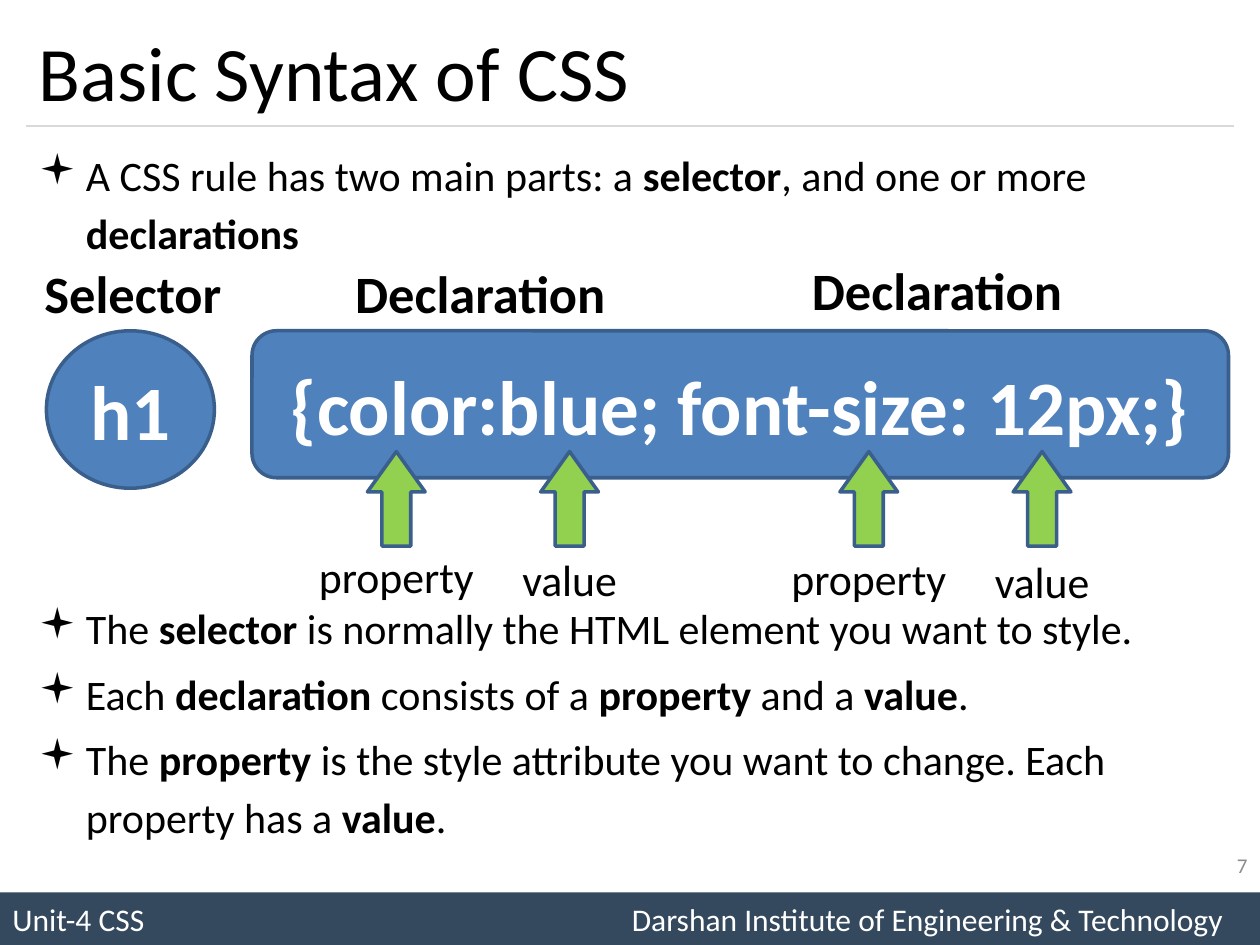
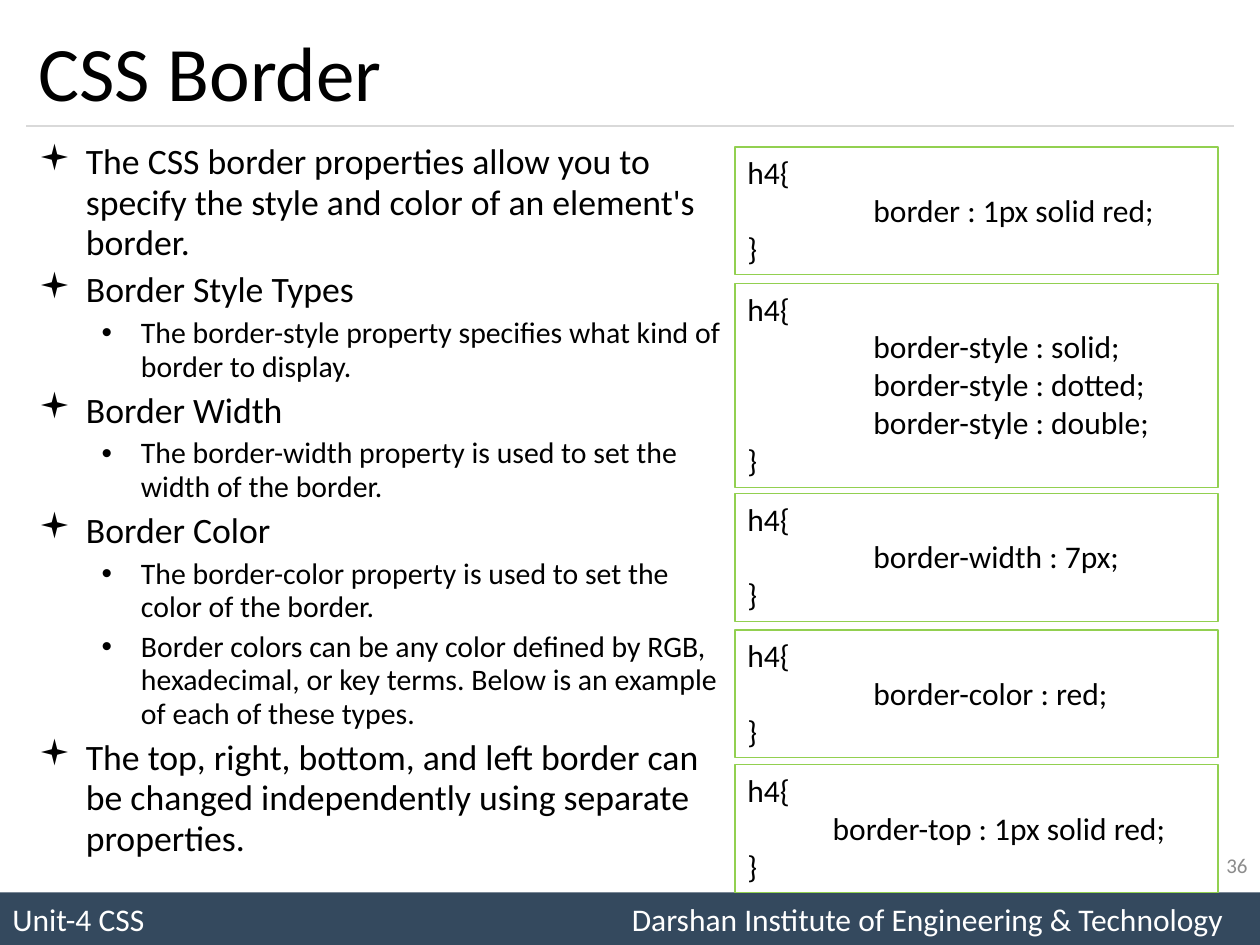
from lxml import etree
from pptx import Presentation
from pptx import util as u
from pptx.dml.color import RGBColor
from pptx.enum import shapes, text
from pptx.oxml.ns import qn

NAVY = RGBColor(0x34, 0x49, 0x5E)
RULE = RGBColor(0xD9, 0xD9, 0xD9)
BLUE = RGBColor(0x4F, 0x81, 0xBD)
EDGE = RGBColor(0x3A, 0x5F, 0x8C)
GREEN = RGBColor(0x92, 0xD0, 0x50)
GREY = RGBColor(0x8C, 0x8C, 0x8C)
BLACK = RGBColor(0, 0, 0)
WHITE = RGBColor(0xFF, 0xFF, 0xFF)

FONT = "Calibri"
LEFT, CENTER, RIGHT = text.PP_ALIGN.LEFT, text.PP_ALIGN.CENTER, text.PP_ALIGN.RIGHT
TOP, MIDDLE = text.MSO_ANCHOR.TOP, text.MSO_ANCHOR.MIDDLE
KIND = shapes.MSO_SHAPE

LEVELS = [
    {"mark": "▪", "face": "Wingdings", "margin": 27, "hang": 27},
    {"mark": "•", "face": "Arial", "margin": 58.5, "hang": 22.5},
]
SYNTAX_STYLE = {"sizes": [24], "gaps": [4.6], "spacing": 1.14}
BORDER_STYLE = {"sizes": [20.4, 17], "gaps": [4.1, 3.3], "spacing": 0.94}

RULE_PARTS = [(0, "A CSS rule has two main parts: a *selector*, and one or more *declarations*")]
RULE_NOTES = [
    (0, "The *selector* is normally the HTML element you want to style."),
    (0, "Each *declaration* consists of a *property* and a *value*."),
    (0, "The *property* is the style attribute you want to change. "
        "Each property has a *value*."),
]
BORDER_NOTES = [
    (0, "The CSS border properties allow you to specify the style and color "
        "of an element's border."),
    (0, "Border Style Types"),
    (1, "The border-style property specifies what kind of border to display."),
    (0, "Border Width"),
    (1, "The border-width property is used to set the width of the border."),
    (0, "Border Color"),
    (1, "The border-color property is used to set the color of the border."),
    (1, "Border colors can be any color defined by RGB, hexadecimal, or key terms. "
        "Below is an example of each of these types."),
    (0, "The top, right, bottom, and left border can be changed independently "
        "using separate properties."),
]
BORDER_CODE = [
    (84, ["\tborder : 1px solid red;"]),
    (162, ["\tborder-style : solid;", "\tborder-style : dotted;", "\tborder-style : double;"]),
    (282, ["\tborder-width : 7px;"]),
    (360, ["\tborder-color : red;"]),
    (437, ["            border-top : 1px solid red;"]),
]


def set_values(target, values):
    for name, value in values.items():
        setattr(target, name, value)


def set_font(font, size, color, bold=False):
    set_values(font, {"name": FONT, "size": u.Pt(size), "bold": bold})
    font.color.rgb = color


def add_tab(para, position):
    tabs = etree.SubElement(para._p.get_or_add_pPr(), qn("a:tabLst"))
    etree.SubElement(tabs, qn("a:tab"), pos=str(u.Pt(position)), algn="l")


def write_lines(shape, lines, size, color, bold=False, align=LEFT, anchor=MIDDLE,
                wrap=True, tab=None):
    frame = shape.text_frame
    set_values(frame, {"word_wrap": wrap, "vertical_anchor": anchor})
    for number, line in enumerate(lines):
        para = frame.add_paragraph() if number else frame.paragraphs[0]
        para.alignment = align
        if "\t" in line:
            add_tab(para, tab)
        span = para.add_run()
        span.text = line
        set_font(span.font, size, color, bold)


def add_text(page, area, line, size, color=BLACK, **style):
    box = page.shapes.add_textbox(*map(u.Pt, area))
    write_lines(box, [line], size, color, **style)


def add_block(page, kind, area, fill=None, edge=None, width=2):
    block = page.shapes.add_shape(kind, *map(u.Pt, area))
    block.shadow.inherit = False
    if fill is None:
        block.fill.background()
    else:
        block.fill.solid()
        block.fill.fore_color.rgb = fill
    if edge is None:
        block.line.fill.background()
    else:
        block.line.color.rgb = edge
        block.line.width = u.Pt(width)
    return block


def add_rule(page):
    rule = page.shapes.add_connector(
        shapes.MSO_CONNECTOR.STRAIGHT, *map(u.Pt, (15, 72, 705, 72)))
    rule.line.color.rgb = RULE
    rule.line.width = u.Pt(0.75)
    etree.SubElement(rule._element.spPr, qn("a:effectLst"))


def add_footer(page):
    band = add_block(page, KIND.RECTANGLE, (0, 510, 720, 30), NAVY)
    footer = "Unit-4 CSS\tDarshan Institute of Engineering & Technology"
    write_lines(band, [footer], 18, WHITE, tab=354)


def add_bullets(page, area, items, style):
    frame = page.shapes.add_textbox(*map(u.Pt, area)).text_frame
    frame.word_wrap = True
    for number, (level, words) in enumerate(items):
        para = frame.add_paragraph() if number else frame.paragraphs[0]
        layout = LEVELS[level]
        props = para._p.get_or_add_pPr()
        props.set("marL", str(u.Pt(layout["margin"])))
        props.set("indent", str(-u.Pt(layout["hang"])))
        etree.SubElement(props, qn("a:buFont"), typeface=layout["face"])
        etree.SubElement(props, qn("a:buChar"), char=layout["mark"])
        set_values(para, {"level": level, "line_spacing": style["spacing"]})
        if number:
            para.space_before = u.Pt(style["gaps"][level])
        for part, piece in enumerate(words.split("*")):
            if piece:
                span = para.add_run()
                span.text = piece
                set_font(span.font, style["sizes"][level], BLACK, part % 2 == 1)


def add_label(page, center, top, line, size, bold=False):
    width = len(line) * size / 2 + 18
    add_text(page, (center - width / 2, top, width, size * 1.47), line, size,
             bold=bold, align=CENTER, anchor=TOP, wrap=False)


def add_pointer(page, center, label_top, label):
    arrow = add_block(page, KIND.UP_ARROW, (center - 16.5, 258, 33, 54), GREEN, EDGE)
    arrow.adjustments[0] = 0.5
    arrow.adjustments[1] = 0.7
    add_label(page, center, label_top, label, 25)


def add_code(page, top, declarations):
    height = 29.5 + 21.75 * (len(declarations) + 1)
    box = add_block(page, KIND.RECTANGLE, (420, top, 276, height), edge=GREEN, width=0.75)
    write_lines(box, ["h4{", *declarations, "}"], 18, BLACK, anchor=TOP, tab=72)


def start_page(deck, title):
    page = deck.slides.add_slide(deck.slide_layouts[6])
    add_footer(page)
    add_rule(page)
    add_text(page, (15, 9, 690, 63), title, 44)
    return page


def add_number(page, number):
    add_text(page, (552, 480, 168, 29), str(number), 12, GREY, align=RIGHT)


def build_syntax(deck):
    page = start_page(deck, "Basic Syntax of CSS")
    add_bullets(page, (15, 78, 690, 74), RULE_PARTS, SYNTAX_STYLE)
    add_bullets(page, (15, 337, 690, 160), RULE_NOTES, SYNTAX_STYLE)
    for kind, area, code in [
        (KIND.OVAL, (26.5, 189, 96, 90), "h1"),
        (KIND.ROUNDED_RECTANGLE, (144, 189, 558, 84), "{color:blue; font-size: 12px;}"),
    ]:
        block = add_block(page, kind, area, BLUE, EDGE)
        write_lines(block, [code], 44, WHITE, bold=True, align=CENTER)
    for center, top, label in [
        (76, 145.5, "Selector"), (274.5, 145.5, "Declaration"), (535.5, 144, "Declaration"),
    ]:
        add_label(page, center, top, label, 30, bold=True)
    for center, top in [(226.5, 310.5), (496.5, 312)]:
        add_pointer(page, center, top, "property")
        add_pointer(page, center + 99, top + 1.75, "value")
    add_number(page, 7)


def build_border(deck):
    page = start_page(deck, "CSS Border")
    add_bullets(page, (15, 78, 405, 420), BORDER_NOTES, BORDER_STYLE)
    for top, declarations in BORDER_CODE:
        add_code(page, top, declarations)
    add_number(page, 36)


def main():
    deck = Presentation()
    set_values(deck, {"slide_width": u.Pt(720), "slide_height": u.Pt(540)})
    build_syntax(deck)
    build_border(deck)
    deck.save("out.pptx")


if __name__ == "__main__":
    main()
